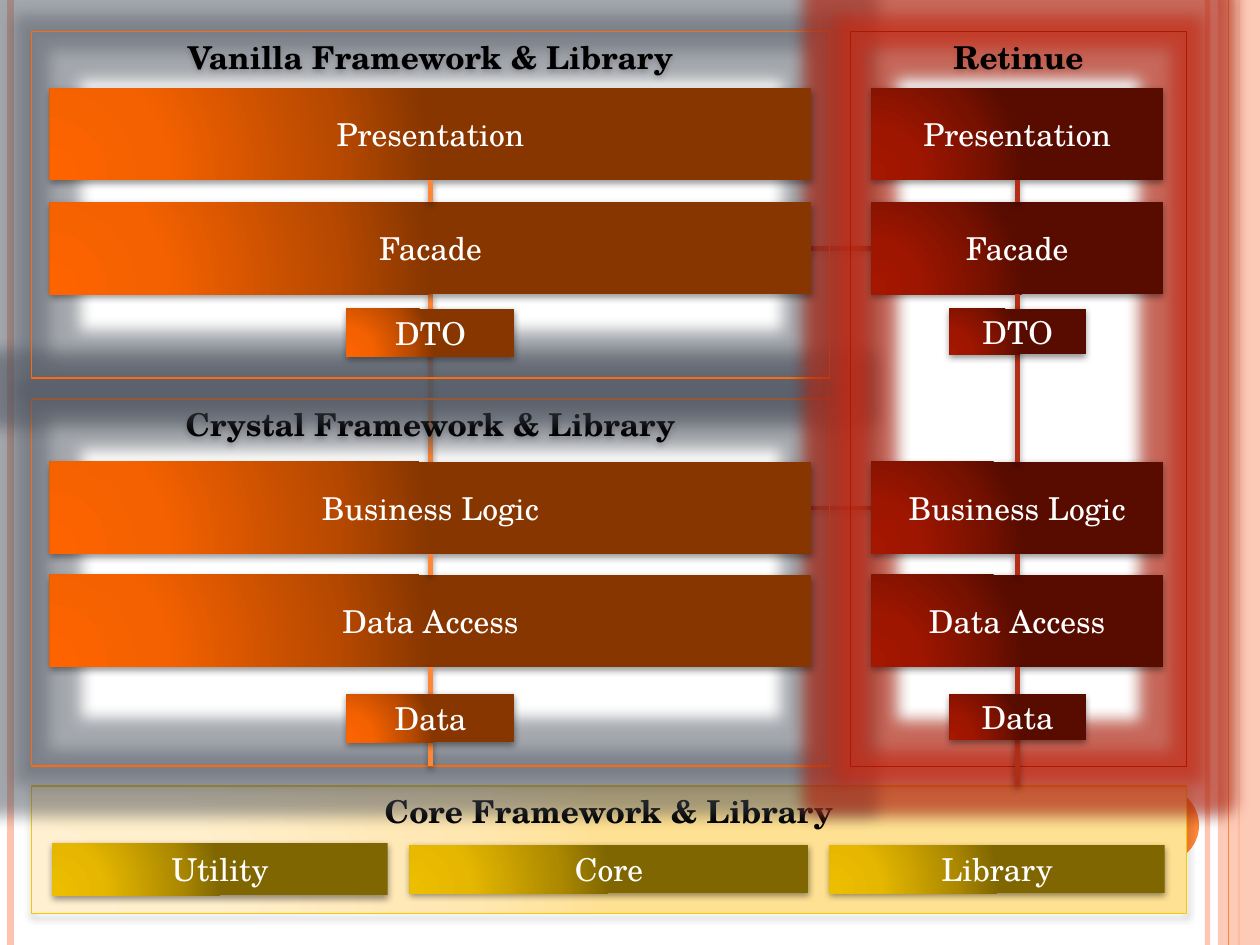
from dataclasses import dataclass

from lxml.etree import SubElement
from pptx import Presentation
from pptx.dml.color import RGBColor
from pptx.enum.shapes import MSO_CONNECTOR, MSO_SHAPE
from pptx.enum.text import MSO_ANCHOR, PP_ALIGN
from pptx.oxml.ns import qn
from pptx.util import Pt


@dataclass(frozen=True)
class Theme:
    font: str = "TeX Gyre Schola"
    size: float = 18
    black: str = "000000"
    white: str = "FFFFFF"
    pink: str = "FEC3AE"
    orange: str = "FE8637"
    red: str = "B32C16"
    orange_edge: str = "FF6B0A"
    red_edge: str = "AC1800"
    yellow_edge: str = "F8C700"
    grey_glow: tuple = ("575F6D", 40)
    red_glow: tuple = ("C82A14", 60)
    orange_fill: tuple = ("FD6400", "F46100", "B74900", "873600")
    red_fill: tuple = ("A41700", "9F1600", "771100", "580C00")
    olive_fill: tuple = ("EDBE00", "E5B700", "AC8900", "7F6600")
    cream_fill: tuple = ("FFF0D1", "FFEFCC", "FFE7B1", "FFE193")


THEME = Theme()
TOP, LEFT, BOTTOM, RIGHT = range(4)


def add_xml(parent, tag, **attributes):
    child = SubElement(parent, qn(tag))
    for name, value in attributes.items():
        child.set(name, str(value))
    return child


def add_colour(parent, colour, alpha=100):
    tag = add_xml(parent, "a:srgbClr", val=colour)
    if alpha < 100:
        add_xml(tag, "a:alpha", val=alpha * 1000)


def set_alpha(shape, alpha):
    """Make the only colour of a shape or line partly transparent."""
    colour = next(shape.element.spPr.iter(qn("a:srgbClr")))
    add_xml(colour, "a:alpha", val=alpha * 1000)


def set_effects(shape, shadow=None, glow=None):
    """Set shadow (alpha, blur, distance) and glow (colour, alpha)."""
    effects = add_xml(shape.element.spPr, "a:effectLst")
    if glow:
        add_colour(add_xml(effects, "a:glow", rad=Pt(18)), *glow)
    if shadow:
        alpha, blur, distance = shadow
        outer = add_xml(effects, "a:outerShdw", blurRad=Pt(blur), dist=Pt(distance),
                        dir=5400000, algn="ctr", rotWithShape=0)
        add_colour(outer, THEME.black, alpha)


def set_gradient(shape, colours):
    gradient = add_xml(shape.element.spPr, "a:gradFill", rotWithShape=1)
    stops = add_xml(gradient, "a:gsLst")
    for position, colour in zip((0, 30, 75, 100), colours):
        add_colour(add_xml(stops, "a:gs", pos=position * 1000), colour)
    path = add_xml(gradient, "a:path")
    path.set("path", "circle")
    add_xml(path, "a:fillToRect", l=5000, t=100000, r=120000, b=10000)


def write_text(shape, text, colour, bold=False, anchor=MSO_ANCHOR.MIDDLE):
    frame = shape.text_frame
    frame.word_wrap = True
    frame.vertical_anchor = anchor
    para = frame.paragraphs[0]
    para.alignment = PP_ALIGN.CENTER
    span = para.add_run()
    span.text = text
    span.font.name = THEME.font
    span.font.size = Pt(THEME.size)
    span.font.bold = bold
    span.font.color.rgb = RGBColor.from_string(colour)


def add_plain(page, kind, bounds, colour):
    shape = page.shapes.add_shape(kind, *map(Pt, bounds))
    shape.fill.solid()
    shape.fill.fore_color.rgb = RGBColor.from_string(colour)
    shape.line.fill.background()
    set_effects(shape)
    return shape


def add_box(page, text, bounds, colours):
    box = page.shapes.add_shape(MSO_SHAPE.RECTANGLE, *map(Pt, bounds))
    set_gradient(box, colours)
    box.line.fill.background()
    set_effects(box, shadow=(42, 4, 1.6))
    write_text(box, text, THEME.white)
    return box


def add_panel(page, text, bounds, edge, colours=None, glow=None, shadow=(38, 3.1, 1.6)):
    panel = page.shapes.add_shape(MSO_SHAPE.RECTANGLE, *map(Pt, bounds))
    if colours:
        set_gradient(panel, colours)
    else:
        panel.fill.background()
    panel.line.color.rgb = RGBColor.from_string(edge)
    panel.line.width = Pt(1)
    set_effects(panel, shadow, glow)
    write_text(panel, text, THEME.black, bold=True, anchor=MSO_ANCHOR.TOP)
    return panel


def add_line(page, start, end, colour, width, shadow=None):
    line = page.shapes.add_connector(MSO_CONNECTOR.STRAIGHT, *map(Pt, start + end))
    line.line.color.rgb = RGBColor.from_string(colour)
    line.line.width = Pt(width)
    set_effects(line, shadow)
    return line


def link(page, first, first_side, second, second_side, colour, behind=None):
    """Join two boxes, optionally placing the line behind another shape."""
    line = add_line(page, (0, 0), (0, 0), colour, 2.75, shadow=(42, 4, 1.6))
    line.begin_connect(first, first_side)
    if second is not None:
        line.end_connect(second, second_side)
    if behind is not None:
        behind.element.addprevious(line.element)
    return line


def add_background(page):
    for x, colour, width, alpha in ((690, THEME.pink, 3, 93), (6, THEME.pink, 4.5, 100),
                                    (708, THEME.orange, 1.5, 100)):
        line = add_line(page, (x, 0), (x, 540), colour, width)
        set_alpha(line, alpha)
    band = add_plain(page, MSO_SHAPE.RECTANGLE, (696, 0, 24, 540), THEME.pink)
    set_alpha(band, 87)
    add_line(page, (702, 0), (702, 540), THEME.orange, 0.75)
    add_plain(page, MSO_SHAPE.OVAL, (642, 450, 43.2, 43.2), THEME.orange)


def add_layers(page, left, width, colours):
    rows = (("Presentation", 50.4), ("Facade", 115.6),
            ("Business Logic", 264), ("Data Access", 328.5))
    return [add_box(page, text, (left, top, width, 52.5), colours) for text, top in rows]


def main():
    deck = Presentation()
    deck.slide_width, deck.slide_height = Pt(720), Pt(540)
    page = deck.slides.add_slide(deck.slide_layouts[6])
    add_background(page)

    core = add_panel(page, "Core Framework & Library", (18, 449, 660, 73), THEME.yellow_edge,
                     colours=THEME.cream_fill, shadow=(40, 4, 2))
    crystal = add_panel(page, "Crystal Framework & Library", (18, 228, 456, 210),
                        THEME.orange_edge, glow=THEME.grey_glow)
    add_panel(page, "Vanilla Framework & Library", (18, 18, 456, 198),
              THEME.orange_edge, glow=THEME.grey_glow)
    add_panel(page, "Retinue", (486, 18, 192, 420), THEME.red_edge, glow=THEME.red_glow)

    main_layers = add_layers(page, 28.5, 435, THEME.orange_fill)
    side_layers = add_layers(page, 498, 166.5, THEME.red_fill)
    for text, left, top, width, height in (("Library", 474, 483, 191.5, 27.5),
                                           ("Utility", 30, 481.75, 191.5, 30),
                                           ("Core", 234, 483, 228, 27.5)):
        add_box(page, text, (left, top, width, height), THEME.olive_fill)

    for row in (1, 2):
        link(page, side_layers[row], LEFT, main_layers[row], RIGHT, THEME.red, behind=core)
    for layers, colour in ((main_layers, THEME.orange), (side_layers, THEME.red)):
        for row, (upper, lower) in enumerate(zip(layers, layers[1:])):
            crossing = layers is main_layers and row == 1
            link(page, upper, BOTTOM, lower, TOP, colour, behind=core if crossing else None)
    link(page, main_layers[-1], BOTTOM, crystal, BOTTOM, THEME.orange)
    tail = link(page, side_layers[-1], BOTTOM, None, None, THEME.red)
    tail.end_x, tail.end_y = tail.begin_x, core.top

    for left, width, height, colours in ((198, 96, 27.5, THEME.orange_fill),
                                         (542.5, 78, 26, THEME.red_fill)):
        for text, top in (("DTO", 176.5), ("Data", 396.75)):
            add_box(page, text, (left, top, width, height), colours)

    deck.save("out.pptx")


if __name__ == "__main__":
    main()
